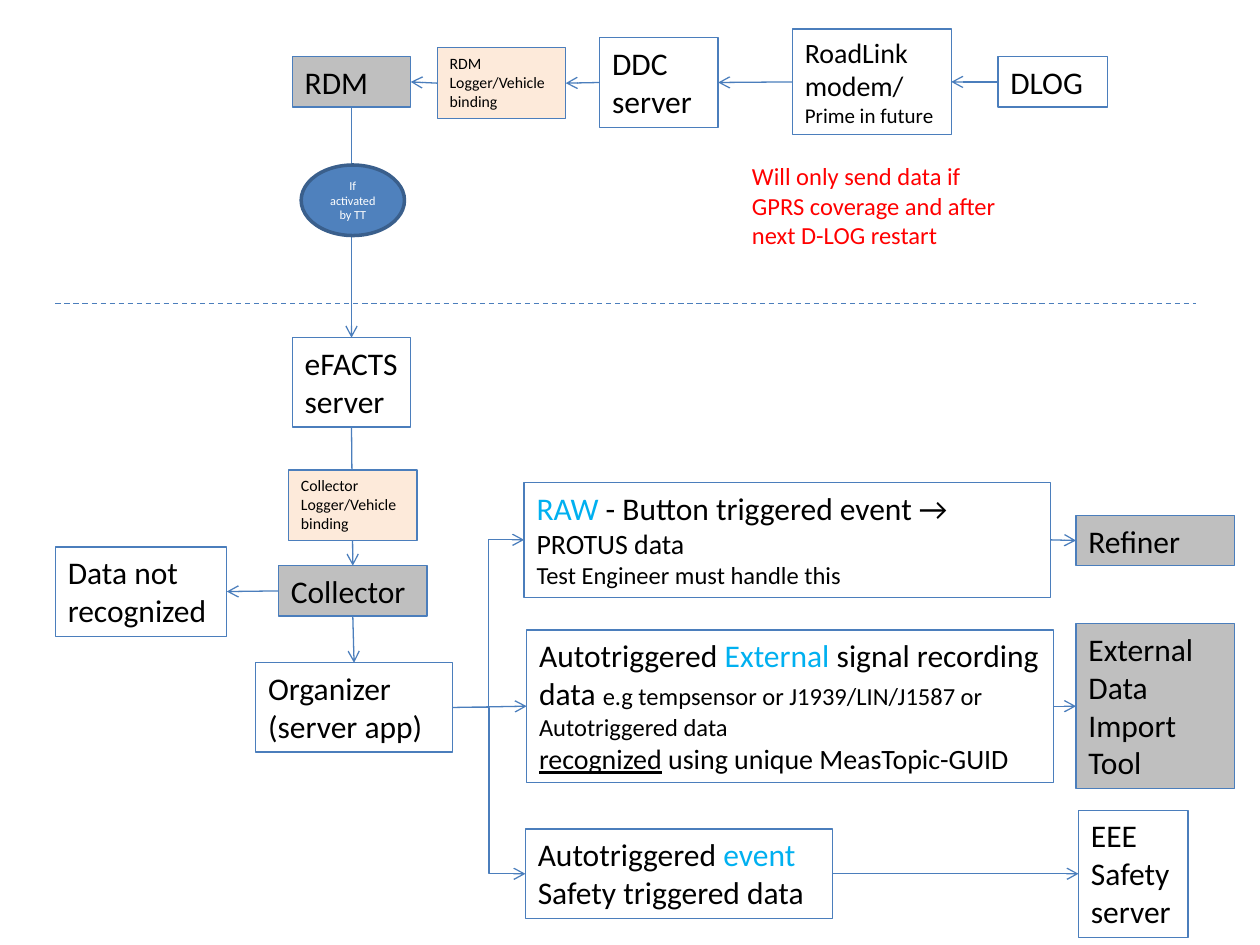
"""Build the logger data flow slide."""
from dataclasses import dataclass

from lxml.etree import SubElement
from pptx import Presentation
from pptx.dml.color import RGBColor
from pptx.enum.dml import MSO_LINE
from pptx.enum.shapes import MSO_CONNECTOR, MSO_SHAPE
from pptx.enum.text import MSO_ANCHOR, MSO_AUTO_SIZE, PP_ALIGN
from pptx.oxml.ns import qn
from pptx.util import Inches, Pt

TOP, LEFT, BOTTOM, RIGHT = range(4)


@dataclass(frozen=True)
class Theme:
    """Colours, font and type sizes."""
    font: str = "Calibri"
    ink: str = "000000"
    white: str = "FFFFFF"
    cyan: str = "00B0F0"
    red: str = "FF0000"
    gray: str = "BFBFBF"
    peach: str = "FDEADA"
    blue: str = "4F81BD"
    edge: str = "4B7EBC"
    rim: str = "3A5F8C"
    body: int = 18
    medium: int = 16
    small: int = 14
    note: int = 12
    label: int = 9
    tiny: int = 7


class FlowPage:
    """Holds the style and the current slide."""

    def __init__(self, deck, theme):
        """Add a blank page to the deck."""
        self.theme = theme
        self.shapes = deck.slides.add_slide(deck.slide_layouts[6]).shapes

    def fill_text(self, box, paragraphs, align=PP_ALIGN.LEFT, **frame):
        """Fill a box with paragraphs of (text, format) spans."""
        settings = {"word_wrap": True, "vertical_anchor": MSO_ANCHOR.TOP,
                    "auto_size": MSO_AUTO_SIZE.SHAPE_TO_FIT_TEXT, **frame}
        for name, value in settings.items():
            setattr(box.text_frame, name, value)
        for index, spans in enumerate(paragraphs):
            para = box.text_frame.add_paragraph() if index else box.text_frame.paragraphs[0]
            para.alignment = align
            for text, style in spans:
                self.add_span(para, text, **style)

    def add_span(self, para, text, size=None, color=None, underline=None):
        """Add one formatted span, breaking lines at newlines."""
        for index, line in enumerate(text.split("\n")):
            if index:
                para.add_line_break()
            if not line:
                continue
            span = para.add_run()
            span.text = line
            formats = {"name": self.theme.font, "size": Pt(size or self.theme.body),
                       "underline": underline}
            for name, value in formats.items():
                setattr(span.font, name, value)
            span.font.color.rgb = RGBColor.from_string(color or self.theme.ink)

    def stroke(self, line, color=None, width=0.75):
        """Set the colour and width of a line."""
        line.color.rgb = RGBColor.from_string(color or self.theme.edge)
        line.width = Pt(width)

    def box(self, place, *paragraphs, fill=None, kind=MSO_SHAPE.RECTANGLE,
            edge=None, width=0.75, **layout):
        """Add an outlined shape with text."""
        box = self.shapes.add_shape(kind, *map(Inches, place))
        box.shadow.inherit = False
        if fill:
            box.fill.solid()
            box.fill.fore_color.rgb = RGBColor.from_string(fill)
        else:
            box.fill.background()
        self.stroke(box.line, edge, width)
        self.fill_text(box, paragraphs, **layout)
        return box

    def note(self, place, *paragraphs):
        """Add a plain text box."""
        self.fill_text(self.shapes.add_textbox(*map(Inches, place)), paragraphs)

    def line(self, start, end, kind=MSO_CONNECTOR.STRAIGHT):
        """Add a connector without shadow."""
        line = self.shapes.add_connector(kind, *map(Inches, (*start, *end)))
        self.stroke(line.line)
        SubElement(line._element.spPr, qn("a:effectLst"))
        return line

    def link(self, source, target, leave, enter, kind=MSO_CONNECTOR.STRAIGHT):
        """Join two boxes with an arrow."""
        arrow = self.line((0, 0), (0, 0), kind)
        arrow.begin_connect(source, leave)
        arrow.end_connect(target, enter)
        SubElement(arrow._element.spPr.find(qn("a:ln")), qn("a:tailEnd"), type="arrow")

    def divider(self, start, end):
        """Add a dashed line."""
        self.line(start, end).line.dash_style = MSO_LINE.DASH


def plain(text, **style):
    """Make a paragraph of one span."""
    return [(text, style)]


def main():
    """Build and save the deck."""
    deck = Presentation()
    deck.slide_width, deck.slide_height = Inches(10), Inches(7.5)
    theme = Theme()
    page = FlowPage(deck, theme)
    cyan = {"color": theme.cyan}

    mlog = page.box((7.92, 0.45, 0.87, 0.4), plain("DLOG"))
    modem = page.box((6.29, 0.23, 1.26, 0.84), [
        ("RoadLink modem/\n", {"size": theme.medium}),
        ("Prime in future", {"size": theme.note})])
    ddc = page.box((4.76, 0.3, 0.94, 0.71), plain("DDC server"))
    rdm_binding = page.box((3.47, 0.38, 1.02, 0.56),
                           plain("RDM\nLogger/Vehicle binding", size=theme.label),
                           fill=theme.peach)
    rdm = page.box((2.32, 0.45, 0.94, 0.4), plain("RDM"), fill=theme.gray)
    efacts = page.box((2.32, 2.68, 0.94, 0.71), plain("eFACTS server"))
    collector = page.box((2.21, 4.49, 1.18, 0.4), plain("Collector"), fill=theme.gray)
    unknown = page.box((0.44, 4.34, 1.36, 0.71), plain("Data not recognized"))
    organizer = page.box((2.03, 5.26, 1.56, 0.71), plain("Organizer (server app)"))
    raw = page.box((4.16, 3.83, 4.18, 0.91),
                   [("RAW", cyan), (" - Button triggered event → ", {}),
                    ("PROTUS data", {"size": theme.medium})],
                   plain("Test Engineer must handle this", size=theme.small))
    external = page.box((4.18, 5, 4.18, 1.21),
                        [("Autotriggered ", {}), ("External", cyan),
                         (" signal recording data ", {}),
                         ("e.g tempsensor or J1939/LIN/J1587 or Autotriggered data",
                          {"size": theme.small})],
                        [("recognized", {"size": theme.medium, "underline": True}),
                         (" using unique MeasTopic-GUID", {"size": theme.medium})])
    safety = page.box((4.17, 6.58, 2.44, 0.71),
                      [("Autotriggered", {}), (" event", cyan)],
                      plain("Safety triggered data"))
    refiner = page.box((8.54, 4.09, 1.26, 0.4), plain("Refiner"), fill=theme.gray)
    import_tool = page.box((8.54, 4.95, 1.26, 1.31), plain("External Data Import"),
                           plain("Tool"), fill=theme.gray)
    eee = page.box((8.56, 6.43, 0.87, 1.01), plain("EEE"), plain("Safety server"))

    upper_chain = [mlog, modem, ddc, rdm_binding, rdm]
    for source, target in [*zip(upper_chain, upper_chain[1:]), (collector, unknown)]:
        page.link(source, target, LEFT, RIGHT)
    for source, target in [(rdm, efacts), (efacts, collector), (collector, organizer)]:
        page.link(source, target, BOTTOM, TOP)
    for source, target in [(raw, refiner), (external, import_tool), (safety, eee),
                           (organizer, external)]:
        page.link(source, target, RIGHT, LEFT)
    for target in (raw, safety):
        page.link(organizer, target, RIGHT, LEFT, MSO_CONNECTOR.ELBOW)

    page.box((2.39, 1.31, 0.82, 0.56),
             plain("If activated by TT", size=theme.tiny, color=theme.white),
             fill=theme.blue, kind=MSO_SHAPE.OVAL, edge=theme.rim, width=2,
             align=PP_ALIGN.CENTER, vertical_anchor=MSO_ANCHOR.MIDDLE,
             auto_size=MSO_AUTO_SIZE.NONE)
    page.box((2.29, 3.73, 1.02, 0.56),
             plain("Collector\nLogger/Vehicle binding", size=theme.label),
             fill=theme.peach)
    page.note((5.87, 1.23, 2.2, 0.81),
              plain("Will only send data if GPRS coverage and after next D-LOG restart",
                    size=theme.small, color=theme.red))
    page.divider((0.44, 2.41), (9.49, 2.41))
    deck.save("out.pptx")


if __name__ == "__main__":
    main()
